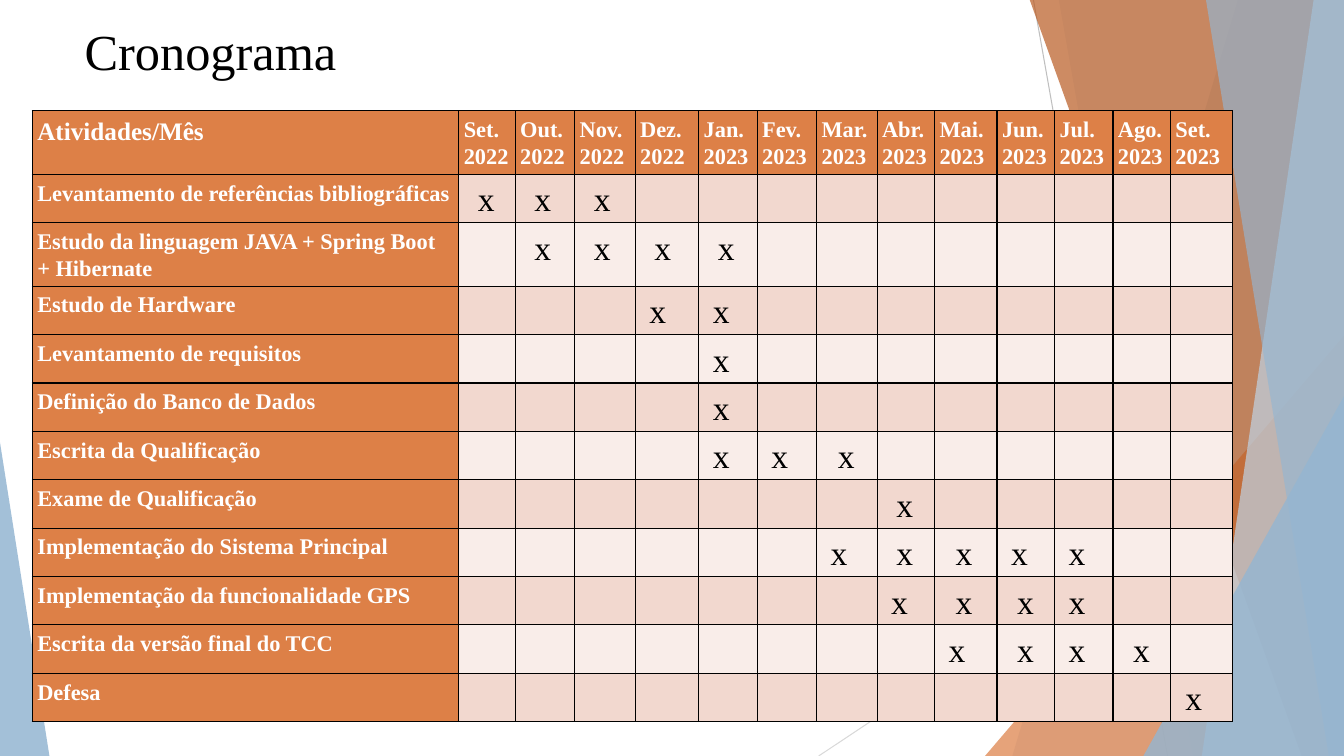
from lxml.etree import SubElement
from pptx import Presentation
from pptx.dml.color import RGBColor
from pptx.enum.shapes import MSO_CONNECTOR, MSO_SHAPE
from pptx.oxml import parse_xml
from pptx.oxml.ns import nsdecls, qn
from pptx.util import Inches, Pt

FONT = "Times New Roman"
BLACK = RGBColor(0x00, 0x00, 0x00)
WHITE = RGBColor(0xFF, 0xFF, 0xFF)
ORANGE = RGBColor(0xDD, 0x80, 0x47)
BROWN = RGBColor(0xB9, 0x5B, 0x22)
BLUE = RGBColor(0x94, 0xB6, 0xD2)
PALE_BLUE = RGBColor(0xBF, 0xD3, 0xE4)
ROW_TINTS = [RGBColor(0xF9, 0xED, 0xE9), RGBColor(0xF2, 0xD8, 0xCF)]
GREY = RGBColor(0xBF, 0xBF, 0xBF)
LIGHT_GREY = RGBColor(0xD9, 0xD9, 0xD9)

MONTHS = ["Set.", "Out.", "Nov.", "Dez.", "Jan.", "Fev.", "Mar.",
          "Abr.", "Mai.", "Jun.", "Jul.", "Ago.", "Set."]
# Each activity: column of every marked month and the indent of its mark
ACTIVITIES = [
    ("Levantamento de referências bibliográficas", {1: 0.14, 2: 0.14, 3: 0.14}),
    ("Estudo da linguagem JAVA + Spring Boot + Hibernate",
     {2: 0.14, 3: 0.14, 4: 0.14, 5: 0.14}),
    ("Estudo de Hardware", {4: 0.09, 5: 0.09}),
    ("Levantamento de requisitos", {5: 0.09}),
    ("Definição do Banco de Dados", {5: 0.09}),
    ("Escrita da Qualificação", {5: 0.09, 6: 0.09, 7: 0.16}),
    ("Exame de Qualificação", {8: 0.14}),
    ("Implementação do Sistema Principal",
     {7: 0.09, 8: 0.14, 9: 0.16, 10: 0.09, 11: 0.09}),
    ("Implementação da funcionalidade GPS", {8: 0.09, 9: 0.16, 10: 0.15, 11: 0.09}),
    ("Escrita da versão final do TCC", {9: 0.09, 10: 0.15, 11: 0.09, 12: 0.15}),
    ("Defesa", {13: 0.1}),
]
COLUMN_WIDTHS = [4.23, 0.56, 0.59, 0.6, 0.63, 0.58, 0.59,
                 0.6, 0.57, 0.62, 0.57, 0.58, 0.57, 0.62]
ROW_HEIGHTS = [0.63, 0.48, 0.63] + [0.48] * 9

prs = Presentation()
prs.slide_width, prs.slide_height = Inches(13.33), Inches(7.5)
slide = prs.slides.add_slide(prs.slide_layouts[6])
shapes = slide.shapes


def band(top_x, bottom_x):
    """Four-sided strip from a slanted left edge to the right slide edge."""
    outline = shapes.build_freeform(Inches(top_x), Inches(-0.01))
    corners = [(13.33, -0.01), (13.33, 7.5), (bottom_x, 7.5)]
    outline.add_line_segments([(Inches(x), Inches(y)) for x, y in corners])
    return outline.convert_to_shape()


def corner(left, width, height, apex):
    """Triangle standing on the bottom slide edge."""
    triangle = shapes.add_shape(MSO_SHAPE.ISOSCELES_TRIANGLE, Inches(left),
                                Inches(7.5 - height), Inches(width), Inches(height))
    triangle.adjustments[0] = apex
    return triangle


# Thin background lines
for x1, y1, x2, y2, color in [(10.25, 0, 11.58, 7.5, GREY),
                              (13.33, 4.03, 8.12, 7.5, LIGHT_GREY)]:
    ray = shapes.add_connector(MSO_CONNECTOR.STRAIGHT, Inches(x1), Inches(y1),
                               Inches(x2), Inches(y2))
    ray.line.color.rgb = color
    ray.line.width = Pt(0.75)
    SubElement(ray._element.spPr, qn("a:effectLst"))

# Translucent facets, back to front, with opacity in percent
for facet, color, opacity in [
    (band(12.28, 10.04), BLUE, 30),
    (band(10.5, 11.83), BLUE, 20),
    (corner(9.77, 3.56, 4.17, 1), ORANGE, 72),
    (band(10.21, 12.91), BROWN, 70),
    (band(13.03, 11.92), PALE_BLUE, 70),
    (band(11.96, 13.18), BLUE, 65),
    (corner(11.34, 1.99, 3.57, 1), BLUE, 80),
    (corner(0, 0.49, 3.11, 0), BLUE, 85),
]:
    facet.shadow.inherit = False
    facet.line.fill.background()
    facet.fill.solid()
    facet.fill.fore_color.rgb = color
    rgb = facet._element.spPr.find(".//" + qn("a:srgbClr"))
    SubElement(rgb, qn("a:alpha"), val=str(opacity * 1000))

# Title
title = shapes.add_textbox(Inches(0.74), Inches(0.15), Inches(2.76), Inches(0.71))
title.text_frame.word_wrap = True
heading = title.text_frame.paragraphs[0]
heading.text = "Cronograma"
heading.font.name, heading.font.size = FONT, Pt(36)
heading.font.color.rgb = BLACK

# Schedule table
schedule = shapes.add_table(len(ROW_HEIGHTS), len(COLUMN_WIDTHS), Inches(0.32), Inches(1.1),
                            Inches(sum(COLUMN_WIDTHS)), Inches(sum(ROW_HEIGHTS))).table
for column, width in zip(schedule.columns, COLUMN_WIDTHS):
    column.width = Inches(width)
for row, height in zip(schedule.rows, ROW_HEIGHTS):
    row.height = Inches(height)

# Cell wording
schedule.cell(0, 0).text = "Atividades/Mês"
for c, month in enumerate(MONTHS, start=1):
    schedule.cell(0, c).text = f"{month}\n{2022 if c <= 4 else 2023}"
for r, (activity, marks) in enumerate(ACTIVITIES, start=1):
    schedule.cell(r, 0).text = activity
    for c, indent in marks.items():
        schedule.cell(r, c).text = "x"
        mark = schedule.cell(r, c).text_frame.paragraphs[0]
        mark._p.get_or_add_pPr().set("marL", str(Inches(indent)))

# Cell look
for r, row in enumerate(schedule.rows):
    for c, cell in enumerate(row.cells):
        is_label = r == 0 or c == 0
        cell.margin_left = cell.margin_right = cell.margin_top = Inches(0.05)
        cell.margin_bottom = 0
        for paragraph in cell.text_frame.paragraphs:
            paragraph.line_spacing = 1.07
            font = paragraph.font
            font.name, font.bold = FONT, is_label
            font.size = Pt(18 if r == c == 0 else 16 if is_label else 24)
            font.color.rgb = WHITE if is_label else BLACK
        cell_properties = cell._tc.get_or_add_tcPr()
        for side in ("lnL", "lnR", "lnT", "lnB"):
            cell_properties.append(parse_xml(
                f'<a:{side} {nsdecls("a")} w="{Pt(1)}"><a:solidFill>'
                f'<a:srgbClr val="{BLACK}"/></a:solidFill></a:{side}>'))
        cell.fill.solid()
        cell.fill.fore_color.rgb = ORANGE if is_label else ROW_TINTS[r % 2]

prs.save("out.pptx")
